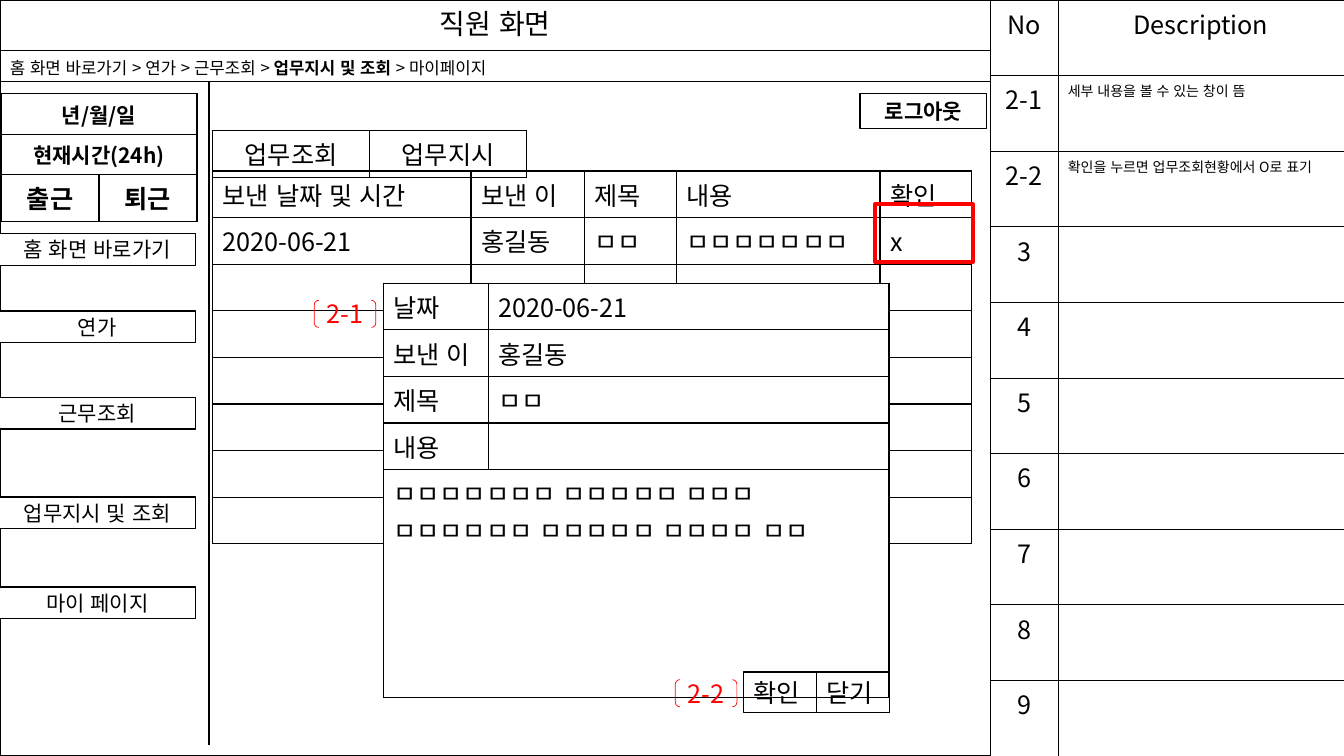
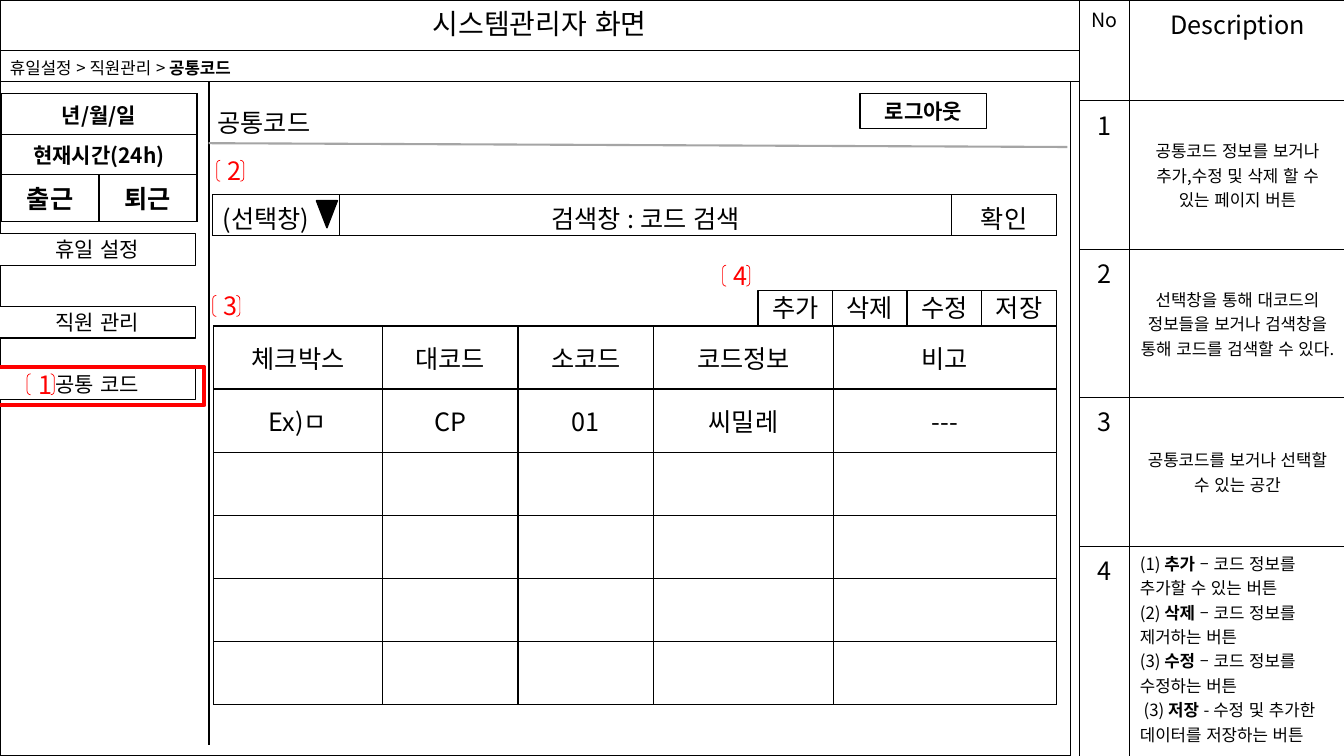
from lxml.etree import SubElement
from pptx import Presentation
from pptx.dml.color import RGBColor
from pptx.enum.shapes import MSO_CONNECTOR, MSO_SHAPE
from pptx.enum.text import MSO_ANCHOR, MSO_AUTO_SIZE, PP_ALIGN
from pptx.oxml import parse_xml
from pptx.oxml.ns import nsdecls, qn
from pptx.oxml.xmlchemy import OxmlElement
from pptx.util import Pt

FONT = "Noto Sans CJK KR"
COLORS = {"black": "000000", "white": "FFFFFF", "red": "FF0000", "gray": "A5A5A5"}
RGB = {name: RGBColor.from_string(value) for name, value in COLORS.items()}
LEFT, CENTER = PP_ALIGN.LEFT, PP_ALIGN.CENTER
TOP, MIDDLE = MSO_ANCHOR.TOP, MSO_ANCHOR.MIDDLE
BRACKETS = MSO_SHAPE.DOUBLE_BRACKET
MARKER = {"kind": BRACKETS, "line": "red", "weight": 0.5, "size": 18, "color": "red"}


def add_box(shapes, left, top, width, height, text="", kind=MSO_SHAPE.RECTANGLE,
            fill=None, line="black", weight=1, size=15, bold=False, color="black",
            align=CENTER, anchor=MIDDLE):
    shape = shapes.add_shape(kind, Pt(left), Pt(top), Pt(width), Pt(height))
    shape.shadow.inherit = False
    if fill:
        shape.fill.solid()
        shape.fill.fore_color.rgb = RGB[fill]
    else:
        shape.fill.background()
    if line:
        shape.line.color.rgb = RGB[line]
        shape.line.width = Pt(weight)
    else:
        shape.line.fill.background()
    if text:
        shape.text_frame.word_wrap = True
        shape.text_frame.vertical_anchor = anchor
        paragraph = shape.text_frame.paragraphs[0]
        paragraph.alignment = align
        run = paragraph.add_run()
        run.text = text
        run.font.size = Pt(size)
        run.font.bold = bold
        run.font.color.rgb = RGB[color]
    return shape


def add_grid(slide, left, top, columns, rows, texts, weight=1, fill=None, **style):
    frame = slide.shapes.add_table(len(rows), len(columns), Pt(left), Pt(top),
                                   Pt(sum(columns)), Pt(sum(rows)))
    table = frame.table
    table.first_row = table.horz_banding = False
    for column, width in zip(table.columns, columns):
        column.width = Pt(width)
    for row, height in zip(table.rows, rows):
        row.height = Pt(height)
    for cell in table.iter_cells():
        if fill:
            cell.fill.solid()
            cell.fill.fore_color.rgb = RGB[fill]
        else:
            cell.fill.background()
        properties = cell._tc.get_or_add_tcPr()
        for index, side in enumerate("LRTB"):
            properties.insert(index, parse_xml(
                f'<a:ln{side} {nsdecls("a")} w="{Pt(weight)}"><a:solidFill>'
                f'<a:srgbClr val="{COLORS["black"]}"/></a:solidFill></a:ln{side}>'))
    for row_index, row_texts in enumerate(texts):
        for column_index, entry in enumerate(row_texts):
            text, changes = entry if isinstance(entry, tuple) else (entry, {})
            look = {"size": 18, "bold": False, "align": LEFT, "anchor": TOP} | style | changes
            if text:
                cell = table.cell(row_index, column_index)
                cell.vertical_anchor = look["anchor"]
                paragraph = cell.text_frame.paragraphs[0]
                paragraph.alignment = look["align"]
                run = paragraph.add_run()
                run.text = text
                run.font.size = Pt(look["size"])
                run.font.bold = look["bold"]
                run.font.color.rgb = RGB["black"]
    return table


presentation = Presentation()
presentation.slide_width = Pt(960)
presentation.slide_height = Pt(540)

SCREENS = [
    {
        "title": "직원 화면", "header_width": 707.6, "frame_width": 707.6,
        "trail": [("홈 화면 바로가기 > 연가 > 근무조회 > ", False),
                  ("업무지시 및 조회 ", True), ("> 마이페이지", False)],
        "menu": [("홈 화면 바로가기", 167), ("연가", 222.3), ("근무조회", 284),
                 ("업무지시 및 조회", 355), ("마이 페이지", 419.3)],
        "lines": [(149.5, 58.3, 149.5, 532, "black")],
    },
    {
        "title": "시스템관리자 화면", "header_width": 771, "frame_width": 764.6,
        "trail": [("휴일설정 > 직원관리 > ", False), ("공통코드", True)],
        "menu": [("휴일 설정", 167), ("직원 관리", 219), ("공통 코드", 263)],
        "lines": [(149.5, 58.3, 149.5, 532, "black"),
                  (149, 102.3, 762.4, 105, "gray")],
    },
]

slides = []
for screen in SCREENS:
    slide = presentation.slides.add_slide(presentation.slide_layouts[5])
    slides.append(slide)
    shapes = slide.shapes
    title = shapes.title
    title.left, title.top = Pt(0), Pt(0)
    title.width, title.height = Pt(screen["header_width"]), Pt(36)
    title.line.color.rgb = RGB["black"]
    title.line.width = Pt(0.75)
    title.text_frame.auto_size = MSO_AUTO_SIZE.NONE
    title.text_frame.vertical_anchor = MIDDLE
    paragraph = title.text_frame.paragraphs[0]
    paragraph.alignment = CENTER
    paragraph.line_spacing = 0.9
    run = paragraph.add_run()
    run.text = screen["title"]
    run.font.size = Pt(20)
    run.font.color.rgb = RGB["black"]

    add_box(shapes, 0, 58.3, screen["frame_width"], 481.7, fill="white")
    add_box(shapes, 0, 36, screen["header_width"], 22, weight=0.75)
    trail = shapes.add_textbox(Pt(0), Pt(37.4), Pt(442), Pt(21.8))
    trail.text_frame.word_wrap = True
    for text, bold in screen["trail"]:
        run = trail.text_frame.paragraphs[0].add_run()
        run.text = text
        run.font.size = Pt(12)
        run.font.bold = bold
        run.font.color.rgb = RGB["black"]

    clock = add_grid(slide, 0.7, 67, [70, 70], [28.9, 28.9, 33.3],
                     [["년/월/일"], ["현재시간(24h)"],
                      [("출근", {"size": 18}), ("퇴근", {"size": 18})]],
                     size=15, bold=True, align=CENTER)
    for row_index in range(2):
        clock.cell(row_index, 0).merge(clock.cell(row_index, 1))
    for text, top in screen["menu"]:
        add_box(shapes, -0.7, top, 140.4, 22.5, text, fill="white")
    add_box(shapes, 614.2, 67, 90.7, 25, "로그아웃", fill="white", bold=True)
    for start_x, start_y, end_x, end_y, color in screen["lines"]:
        connector = shapes.add_connector(MSO_CONNECTOR.STRAIGHT, Pt(start_x), Pt(start_y),
                                         Pt(end_x), Pt(end_y))
        connector.line.color.rgb = RGB[color]
        connector.line.width = Pt(1.5)
        connector._element.spPr.append(OxmlElement("a:effectLst"))

employee, administrator = slides

note = {"size": 10, "align": LEFT}
add_grid(employee, 707.6, 0, [48, 204.4], [54] * 10,
         [["No", "Description"],
          ["2-1", ("세부 내용을 볼 수 있는 창이 뜸", note)],
          ["2-2", ("확인을 누르면 업무조회현황에서 O로 표기", note)],
          *[[str(number)] for number in range(3, 10)]],
         weight=0.5, align=CENTER)
add_grid(employee, 151.8, 93.3, [112.2, 112.2], [33.3], [["업무조회", "업무지시"]],
         align=CENTER)
add_grid(employee, 151.8, 122.2, [184.7, 81, 65.5, 145.7, 65.5], [33.3] * 8,
         [["보낸 날짜 및 시간", "보낸 이", "제목", "내용", "확인"],
          ["2020-06-21", "홍길동", "ㅁㅁ", "ㅁㅁㅁㅁㅁㅁㅁ", "x"]])
message = add_grid(employee, 273.7, 202.3, [75, 286.3], [33.3] * 4 + [162.7],
                   [["날짜", "2020-06-21"], ["보낸 이", "홍길동"], ["제목", "ㅁㅁ"], ["내용"],
                    ["ㅁㅁㅁㅁㅁㅁㅁ ㅁㅁㅁㅁㅁ ㅁㅁㅁ ㅁㅁㅁㅁㅁㅁ ㅁㅁㅁㅁㅁ ㅁㅁㅁㅁ ㅁㅁ"]],
                   fill="white")
message.cell(4, 0).merge(message.cell(4, 1))
for index, text in enumerate(["확인", "닫기"]):
    add_box(employee.shapes, 531.2 + 52 * index, 480, 52, 29, text,
            weight=0.75, size=18, align=LEFT, anchor=TOP)
for text, left, top in [("2-1", 224.5, 214.5), ("2-2", 482.4, 485.5)]:
    add_box(employee.shapes, left, top, 44, 19.4, text, **MARKER)
add_box(employee.shapes, 625, 146, 70, 41, line="red", weight=3)

note = {"size": 12, "anchor": MIDDLE}
descriptions = add_grid(
    administrator, 771, 0, [36, 154], [72, 106, 106, 106, 150],
    [[("No", {"size": 14}), "Description"],
     ["1", ("공통코드 정보를 보거나 추가,수정 및 삭제 할 수 있는 페이지 버튼", note)],
     ["2", ("선택창을 통해 대코드의 정보들을 보거나 검색창을 통해 코드를 검색할 수 있다.", note)],
     ["3", ("공통코드를 보거나 선택할 수 있는 공간", note)],
     ["4"]],
    weight=0.5, align=CENTER)
button_notes = [("(1) ", "추가 ", "– 코드 정보를 추가할 수 있는 버튼"),
                ("(2) ", "삭제 ", "– 코드 정보를 제거하는 버튼"),
                ("(3) ", "수정 ", "– 코드 정보를 수정하는 버튼"),
                (" (3) ", "저장 ", "- 수정 및 추가한 데이터를 저장하는 버튼")]
button_frame = descriptions.cell(4, 1).text_frame
for index, parts in enumerate(button_notes):
    paragraph = button_frame.add_paragraph() if index else button_frame.paragraphs[0]
    for part_index, text in enumerate(parts):
        run = paragraph.add_run()
        run.text = text
        run.font.size = Pt(12)
        run.font.bold = part_index == 1
        run.font.color.rgb = RGB["black"]

add_box(administrator.shapes, 148.3, 73.4, 87, 29, "공통코드", line=None, size=18,
        align=LEFT, anchor=TOP)
add_box(administrator.shapes, -5, 262, 151, 27.4, line="red", weight=3)
search = add_grid(administrator, 152, 139, [90.7, 437, 75], [29],
                  [[("(선택창)", {"align": LEFT}), "검색창 : 코드 검색", "확인"]], align=CENTER)
for cell in search.iter_cells():
    cell.margin_bottom = 0
arrow = add_box(administrator.shapes, 226, 143.3, 15, 19.4,
                kind=MSO_SHAPE.ISOSCELES_TRIANGLE, fill="black")
arrow.rotation = 180
buttons = administrator.shapes.add_group_shape()
for index, text in enumerate(["추가", "삭제", "수정", "저장"]):
    add_box(buttons.shapes, 541.4 + 53.3 * index, 207.4, 53.3, 25, text, fill="white", size=18)
add_grid(administrator, 152.8, 232.8, [120.2, 97, 97, 128.3, 159.2], [45.1] * 6,
         [["체크박스", "대코드", "소코드", "코드정보", "비고"],
          ["Ex)ㅁ", "CP", "01", "씨밀레", "---"]],
         align=CENTER, anchor=MIDDLE)
for text, left, top in [("1", 19.4, 267), ("2", 154.8, 114.5),
                        ("3", 152, 211), ("4", 516.2, 189.4)]:
    add_box(administrator.shapes, left, top, 19.4, 15, text, **MARKER)

for slide in slides:
    for properties in slide.element.iter(qn("a:rPr")):
        properties.set("lang", "ko-KR")
        for tag in ("a:latin", "a:ea"):
            SubElement(properties, qn(tag)).set("typeface", FONT)

presentation.save("out.pptx")
